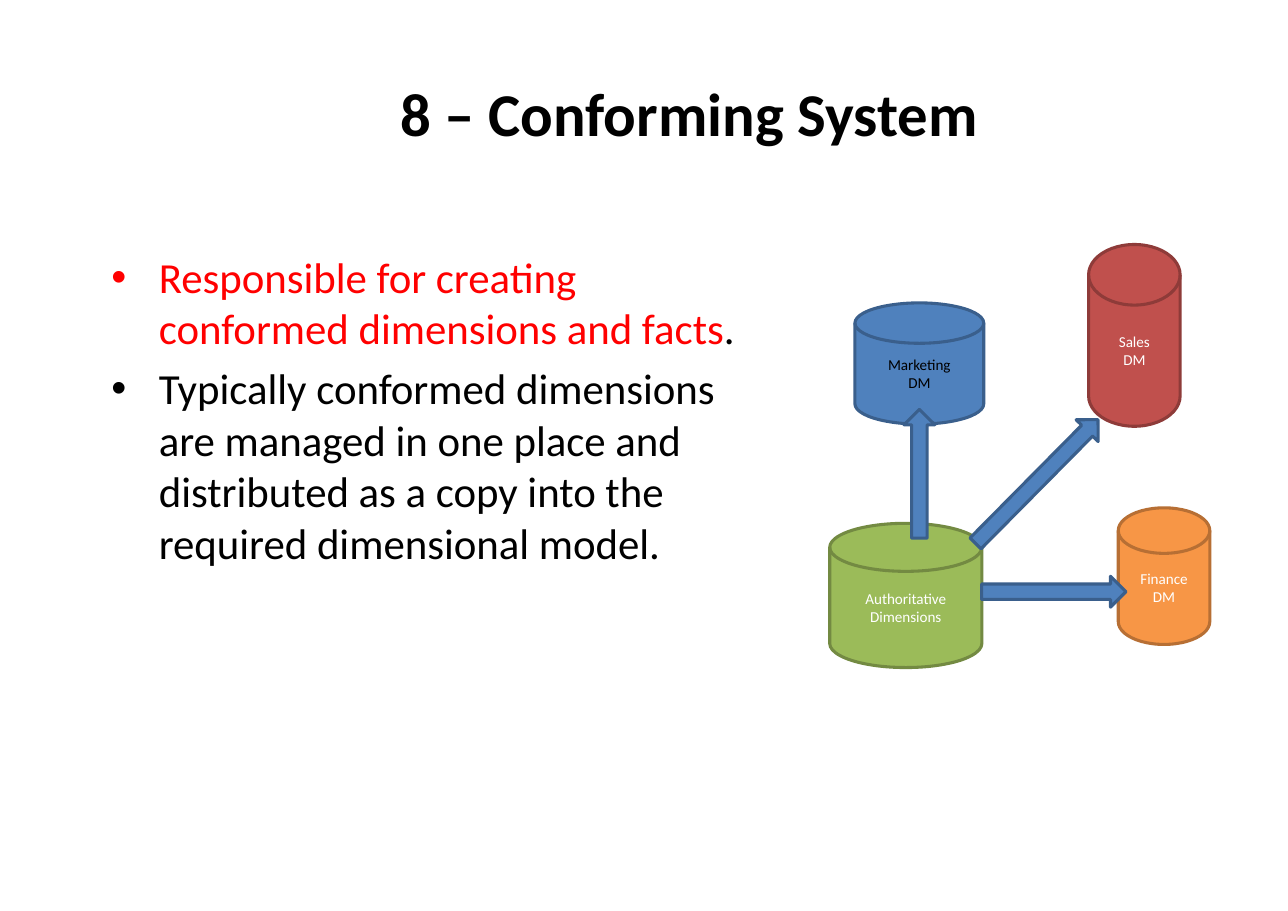
from dataclasses import dataclass

from lxml import etree
from pptx import Presentation
from pptx import util as u
from pptx.dml.color import RGBColor
from pptx.enum import shapes, text
from pptx.oxml.ns import qn


@dataclass(frozen=True)
class Theme:
    font: str = "Calibri"
    title_size: float = 39.7
    body_size: float = 28
    label_size: float = 9.9
    outline: float = 2
    black: str = "000000"
    white: str = "FFFFFF"
    red: str = "FF0000"
    # Fill and outline pairs
    blue_pair: tuple = ("4F81BD", "3A5F8C")
    green_pair: tuple = ("9BBB59", "738A42")
    brick_pair: tuple = ("C0504D", "8E3B39")
    orange_pair: tuple = ("F79646", "B76F34")


class SlideBuilder:
    def __init__(self, slide, theme):
        self.slide = slide
        self.theme = theme

    def set_font(self, font, size, color, bold=False):
        font.name = self.theme.font
        font.size = u.Pt(size)
        font.bold = bold
        font.color.rgb = RGBColor.from_string(color)

    def set_frame(self, frame, anchor):
        frame.word_wrap = True
        frame.auto_size = text.MSO_AUTO_SIZE.NONE
        frame.vertical_anchor = anchor
        frame.margin_left = frame.margin_right = u.Pt(8)
        frame.margin_top = frame.margin_bottom = u.Pt(4)

    def title(self, wording, left, top, width, height):
        box = self.slide.shapes.title
        box.left, box.top = u.Pt(left), u.Pt(top)
        box.width, box.height = u.Pt(width), u.Pt(height)
        self.set_frame(box.text_frame, text.MSO_ANCHOR.MIDDLE)
        para = box.text_frame.paragraphs[0]
        para.text = wording
        para.alignment = text.PP_ALIGN.CENTER
        self.set_font(para.font, self.theme.title_size, self.theme.black, bold=True)

    def bullets(self, items, left, top, width, height, indent=31):
        """Each item is a list of (wording, color) spans."""
        box = self.slide.shapes.add_textbox(
            u.Pt(left), u.Pt(top), u.Pt(width), u.Pt(height))
        frame = box.text_frame
        self.set_frame(frame, text.MSO_ANCHOR.TOP)
        for number, item in enumerate(items):
            para = frame.add_paragraph() if number else frame.paragraphs[0]
            para.space_before = u.Pt(0.2 * self.theme.body_size)
            for wording, color in item:
                span = para.add_run()
                span.text = wording
                self.set_font(span.font, self.theme.body_size, color)
            # Hanging bullet
            properties = para._p.get_or_add_pPr()
            properties.set("marL", str(u.Pt(indent)))
            properties.set("indent", str(-u.Pt(indent)))
            etree.SubElement(properties, qn("a:buFont"), typeface="Arial")
            etree.SubElement(properties, qn("a:buChar"), char="•")

    def shape(self, kind, colors, left, top, width, height):
        shape = self.slide.shapes.add_shape(
            kind, u.Pt(left), u.Pt(top), u.Pt(width), u.Pt(height))
        fill, line = colors
        shape.shadow.inherit = False
        shape.fill.solid()
        shape.fill.fore_color.rgb = RGBColor.from_string(fill)
        shape.line.color.rgb = RGBColor.from_string(line)
        shape.line.width = u.Pt(self.theme.outline)
        return shape

    def store(self, label, colors, label_color, left, top, width, height):
        disk = self.shape(shapes.MSO_SHAPE.FLOWCHART_MAGNETIC_DISK, colors,
                          left, top, width, height)
        frame = disk.text_frame
        frame.word_wrap = True
        frame.vertical_anchor = text.MSO_ANCHOR.MIDDLE
        para = frame.paragraphs[0]
        para.text = label
        para.alignment = text.PP_ALIGN.CENTER
        self.set_font(para.font, self.theme.label_size, label_color)

    def arrow(self, left, top, length, rotation=0, thickness=20.2):
        arrow = self.shape(shapes.MSO_SHAPE.RIGHT_ARROW, self.theme.blue_pair,
                           left, top, length, thickness)
        arrow.rotation = rotation


theme = Theme()
deck = Presentation()
deck.slide_width, deck.slide_height = u.Pt(841.7), u.Pt(595.4)
page = SlideBuilder(deck.slides.add_slide(deck.slide_layouts[5]), theme)

# Title and bullets
page.title("8 – Conforming System", 101.5, 23.8, 697.7, 99.4)
page.bullets([
    [("Responsible for creating conformed dimensions and facts", theme.red),
     (".", theme.black)],
    [("Typically conformed dimensions are managed in one place and distributed "
      "as a copy into the required dimensional model.", theme.black)],
], 64.8, 159.8, 432.7, 286.6)

# Authoritative store and the data marts
page.store("Authoritative Dimensions", theme.green_pair, theme.white,
           542.2, 342, 99.4, 94.3)
page.store("Marketing\nDM", theme.blue_pair, theme.black, 558.7, 198, 84.2, 79.2)
page.store("Sales\nDM", theme.brick_pair, theme.white, 711.4, 159.8, 59.8, 118.8)
page.store("Finance\nDM", theme.orange_pair, theme.white, 730.8, 331.9, 59.8, 89.3)

# Distribution arrows: to marketing, finance and sales
page.arrow(558.7, 299.5, 84.2, rotation=270)
page.arrow(641.5, 376.6, 94.3)
page.arrow(620.6, 304.6, 113.8, rotation=314.7)

deck.save("out.pptx")
